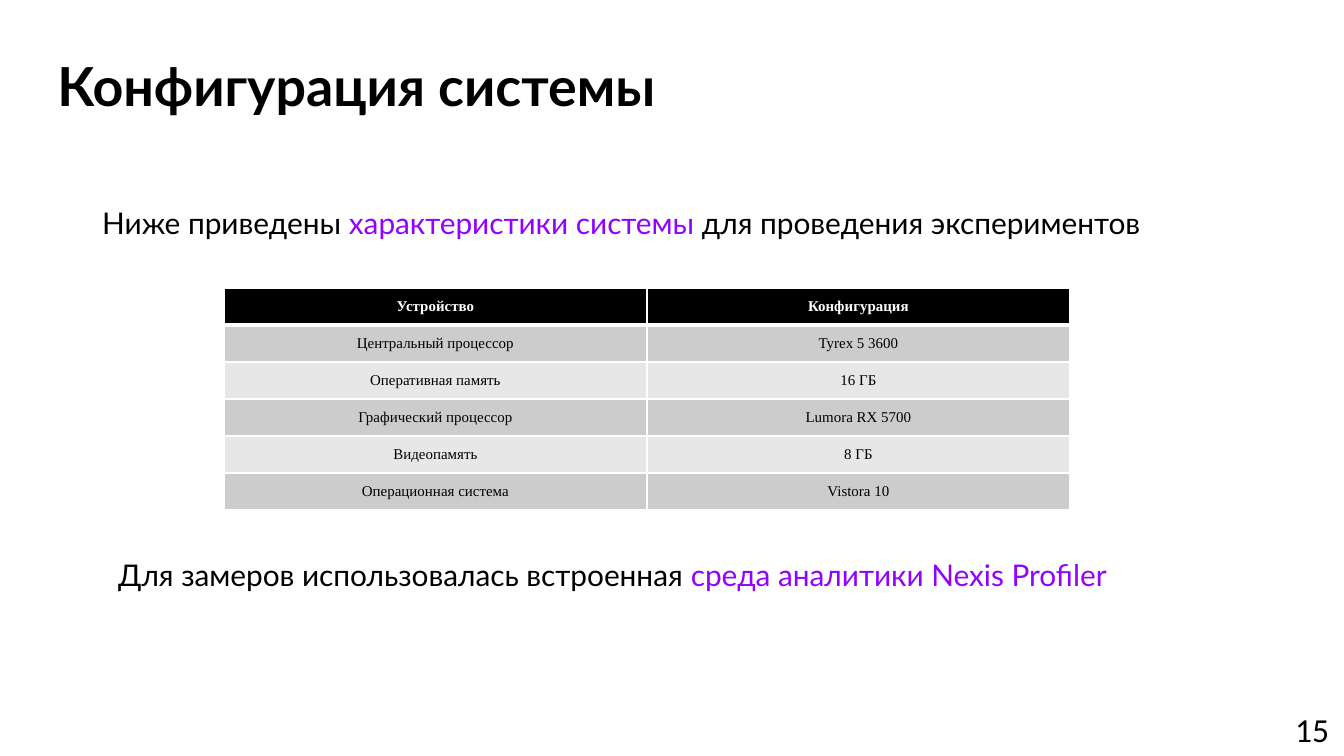
"""Build the system configuration slide."""
from dataclasses import dataclass
from typing import Any, NamedTuple

from lxml.etree import SubElement
from pptx import Presentation
from pptx.dml.color import RGBColor
from pptx.enum.text import MSO_ANCHOR, MSO_AUTO_SIZE, PP_ALIGN
from pptx.oxml.ns import qn
from pptx.util import Emu, Pt

PX_PER_INCH = 134.4


def px(length: int) -> Emu:
    return Emu(round(length * 914400 / PX_PER_INCH))


@dataclass(frozen=True)
class Theme:
    ink: str = "000000"
    paper: str = "FFFFFF"
    accent: str = "9103FD"
    bands: tuple[str, str] = ("CCCCCC", "E7E7E7")
    sans: str = "Lato"
    serif: str = "Times New Roman"
    numeral: str = "Calibri"
    title_size: float = 28.8
    body_size: float = 16
    number_size: float = 18
    cell_size: float = 8
    grid_width: float = 1
    header_rule: float = 3


THEME = Theme()


class Box(NamedTuple):
    left: int
    top: int
    width: int
    height: int


class Phrase(NamedTuple):
    text: str
    color: str = THEME.ink


@dataclass(frozen=True)
class Caption:
    box: Box
    phrases: tuple[Phrase, ...]
    size: float = THEME.body_size
    font: str = THEME.sans
    bold: bool = False
    align: PP_ALIGN = PP_ALIGN.JUSTIFY
    anchor: MSO_ANCHOR = MSO_ANCHOR.MIDDLE
    grows: bool = False


class Device(NamedTuple):
    name: str
    configuration: str


CAPTIONS = (
    Caption(Box(44, 46, 1027, 78), (Phrase("Конфигурация системы"),),
            THEME.title_size, bold=True, align=PP_ALIGN.LEFT),
    Caption(Box(1282, 702, 62, 54), (Phrase("15"),), THEME.number_size,
            THEME.numeral, align=PP_ALIGN.LEFT, anchor=MSO_ANCHOR.TOP, grows=True),
    Caption(Box(89, 184, 1085, 78), (
        Phrase("Ниже приведены "),
        Phrase("характеристики системы", THEME.accent),
        Phrase(" для проведения экспериментов"),
    )),
    Caption(Box(105, 536, 1085, 78), (
        Phrase("Для замеров использовалась встроенная "),
        Phrase("среда аналитики Nexis Profiler", THEME.accent),
    )),
)
TABLE_BOX = Box(224, 288, 846, 222)
DEVICES = (
    Device("Устройство", "Конфигурация"),
    Device("Центральный процессор", "Tyrex 5 3600"),
    Device("Оперативная память", "16 ГБ"),
    Device("Графический процессор", "Lumora RX 5700"),
    Device("Видеопамять", "8 ГБ"),
    Device("Операционная система", "Vistora 10"),
)


def style_run(run: Any, font: str, size: float, color: str, bold: bool) -> None:
    run.font.name = font
    run.font.size = Pt(size)
    run.font.bold = bold
    run.font.color.rgb = RGBColor.from_string(color)


def draw_caption(slide: Any, caption: Caption) -> None:
    frame = slide.shapes.add_textbox(*map(px, caption.box)).text_frame
    frame.word_wrap = not caption.grows
    frame.auto_size = (MSO_AUTO_SIZE.SHAPE_TO_FIT_TEXT if caption.grows
                       else MSO_AUTO_SIZE.NONE)
    frame.vertical_anchor = caption.anchor
    paragraph = frame.paragraphs[0]
    paragraph.alignment = caption.align
    for phrase in caption.phrases:
        run = paragraph.add_run()
        run.text = phrase.text
        style_run(run, caption.font, caption.size, phrase.color, caption.bold)


def draw_border(cell: Any, side: str, width: float) -> None:
    properties = cell._tc.get_or_add_tcPr()
    line = SubElement(properties, qn(f"a:ln{side}"), w=str(Pt(width)))
    fill = SubElement(line, qn("a:solidFill"))
    SubElement(fill, qn("a:srgbClr"), val=THEME.paper)


def draw_cell(cell: Any, text: str, row: int) -> None:
    is_header = row == 0
    for side in "LRTB":
        thick = (row, side) in ((0, "B"), (1, "T"))
        draw_border(cell, side, THEME.header_rule if thick else THEME.grid_width)
    cell.fill.solid()
    background = THEME.ink if is_header else THEME.bands[(row - 1) % 2]
    cell.fill.fore_color.rgb = RGBColor.from_string(background)
    cell.vertical_anchor = MSO_ANCHOR.MIDDLE
    cell.text_frame.text = text
    paragraph = cell.text_frame.paragraphs[0]
    paragraph.alignment = PP_ALIGN.CENTER
    style_run(paragraph.runs[0], THEME.serif, THEME.cell_size,
              THEME.paper if is_header else THEME.ink, is_header)


def draw_devices(slide: Any, devices: tuple[Device, ...], box: Box) -> None:
    table = slide.shapes.add_table(
        len(devices), len(Device._fields), *map(px, box)).table
    for row, device in enumerate(devices):
        table.rows[row].height = px(box.height // len(devices))
        for column, text in enumerate(device):
            draw_cell(table.cell(row, column), text, row)


def main() -> None:
    presentation = Presentation()
    presentation.slide_width = px(1344)
    presentation.slide_height = px(756)
    slide = presentation.slides.add_slide(presentation.slide_layouts[6])
    for caption in CAPTIONS:
        draw_caption(slide, caption)
    draw_devices(slide, DEVICES, TABLE_BOX)
    presentation.save("out.pptx")


if __name__ == "__main__":
    main()
